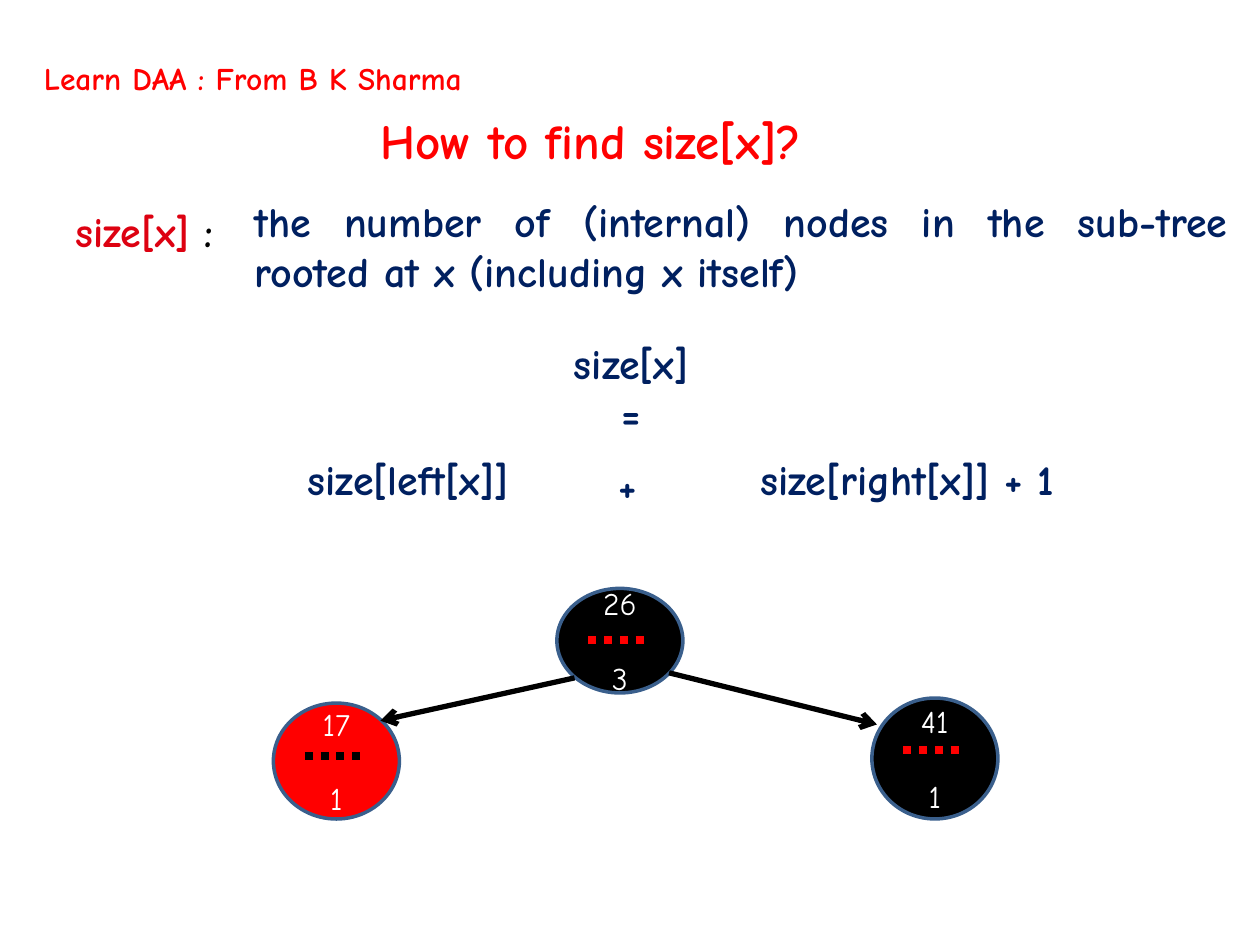
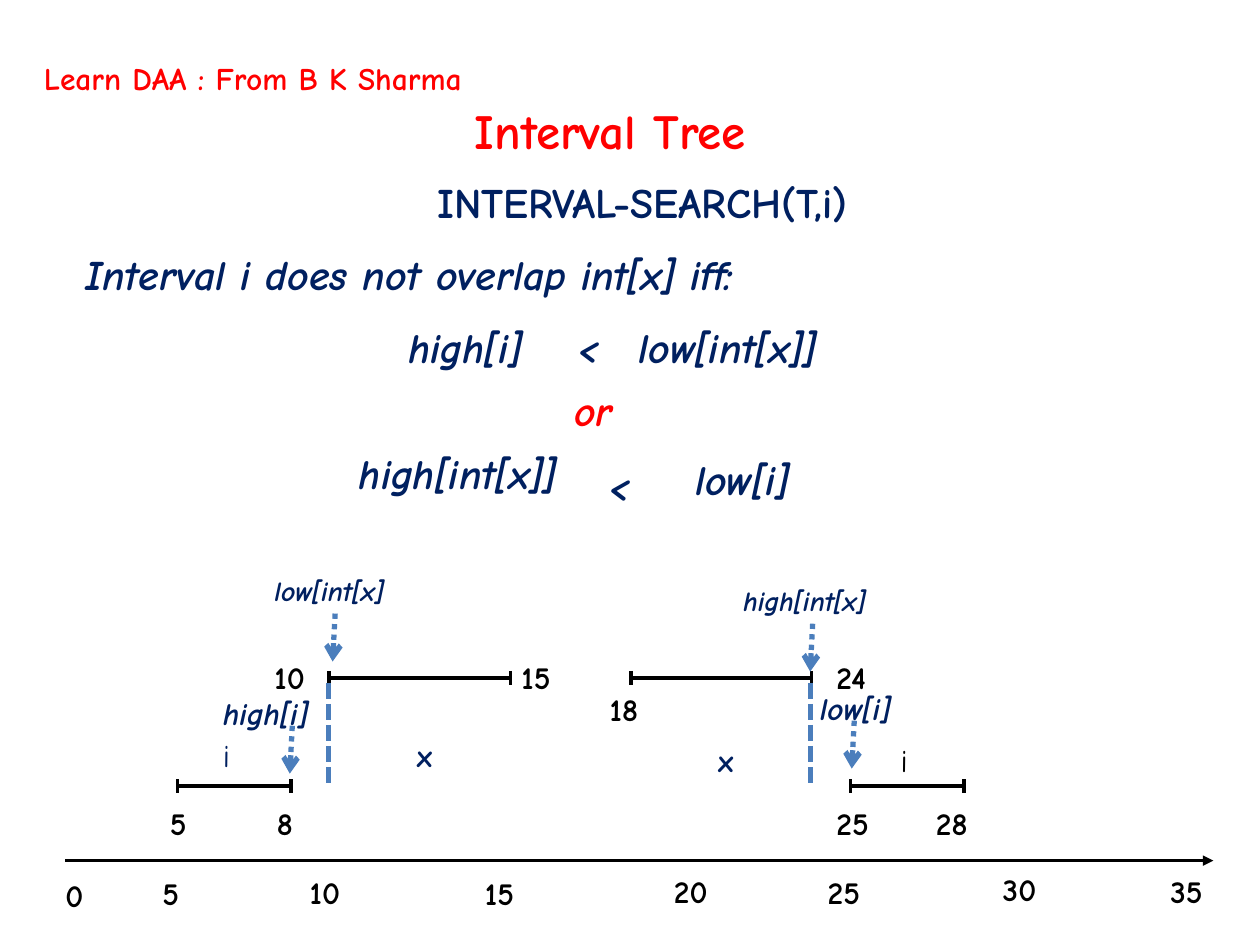
from lxml import etree
from pptx import Presentation
from pptx.dml.color import RGBColor
from pptx.enum.dml import MSO_LINE
from pptx.enum.shapes import MSO_CONNECTOR, MSO_SHAPE
from pptx.enum.text import MSO_ANCHOR, MSO_AUTO_SIZE, PP_ALIGN
from pptx.oxml.ns import qn
from pptx.util import Inches, Pt

FONT = "Comic Neue"
RED, CRIMSON, NAVY = "FF0000", "DD0111", "002060"
BLACK, WHITE, STEEL, OUTLINE = "000000", "FFFFFF", "4B7EBC", "3A5F8C"
COLUMNS, ROWS = 10, 7.5
LINE_HEIGHT = {28: 0.57, 24: 0.5, 18: 0.4, 16: 0.37}
TICK = 0.055


def rgb(value):
    """Turn a hex string into a colour."""
    return RGBColor.from_string(value)


class Deck:
    """Holds the style, the current slide and the shapes being drawn on."""

    def __init__(self):
        """Open an empty deck and size its grid."""
        self.prs = Presentation()
        self.prs.slide_width, self.prs.slide_height = Inches(10), Inches(7.5)
        self.shapes = None
        self.slide = None

    def x(self, columns):
        """Convert grid columns to a length."""
        return int(self.prs.slide_width * columns / COLUMNS)

    def y(self, rows):
        """Convert grid rows to a length."""
        return int(self.prs.slide_height * rows / ROWS)

    def new_slide(self, title, left, top, width):
        """Start a slide with the shared header and its own title."""
        self.slide = self.prs.slides.add_slide(self.prs.slide_layouts[6])
        self.use_slide()
        self.text("Learn DAA : From B K Sharma", 0.25, 0.42, 4.02, 18, RED)
        self.text(title, left, top, width, 28, RED)

    def use_slide(self):
        """Draw directly on the slide."""
        self.shapes = self.slide.shapes

    def use_group(self):
        """Draw into a new group."""
        self.shapes = self.slide.shapes.add_group_shape().shapes

    def run(self, paragraph, words, size, color, bold=True, italic=False):
        """Add one styled run."""
        run = paragraph.add_run()
        run.text = words
        font = run.font
        font.name, font.size, font.bold, font.italic = FONT, Pt(size), bold, italic
        font.color.rgb = rgb(color)

    def text(self, words, left, top, width, size=24, color=NAVY, bold=True,
             italic=False, align=PP_ALIGN.LEFT, wrap=False, lines=1):
        """Add a text box; words is a string with one paragraph per line."""
        height = LINE_HEIGHT[size] + (lines - 1) * 0.41
        box = self.shapes.add_textbox(self.x(left), self.y(top), self.x(width), self.y(height))
        frame = box.text_frame
        frame.word_wrap, frame.auto_size = wrap, MSO_AUTO_SIZE.SHAPE_TO_FIT_TEXT
        for index, part in enumerate(words.split("\n")):
            paragraph = frame.add_paragraph() if index else frame.paragraphs[0]
            paragraph.alignment = align
            self.run(paragraph, part, size, color, bold, italic)
        return frame

    def number(self, value, left, top):
        """Add a number label, wider for two digits."""
        self.text(str(value), left, top, 0.36 if value < 10 else 0.51, 18, BLACK)

    def line(self, start, end, color=BLACK, weight=2, dash=None, arrow=None):
        """Draw a straight line, with dashes or an arrowhead if asked."""
        line = self.shapes.add_connector(
            MSO_CONNECTOR.STRAIGHT, self.x(start[0]), self.y(start[1]),
            self.x(end[0]), self.y(end[1]))
        line.line.color.rgb, line.line.width = rgb(color), Pt(weight)
        if dash:
            line.line.dash_style = dash
        if arrow:
            etree.SubElement(line.line._get_or_add_ln(), qn("a:tailEnd"), type=arrow)
        etree.SubElement(line._element.spPr, qn("a:effectLst"))

    def node(self, key, size, left, top, height, fill, dots, dots_y):
        """Draw a tree node: key above, subtree size below, dots between."""
        oval = self.shapes.add_shape(
            MSO_SHAPE.OVAL, self.x(left), self.y(top), self.x(1), self.y(height))
        oval.shadow.inherit = False
        oval.fill.solid()
        oval.fill.fore_color.rgb = rgb(fill)
        oval.line.color.rgb, oval.line.width = rgb(OUTLINE), Pt(2)
        frame = oval.text_frame
        frame.vertical_anchor = MSO_ANCHOR.MIDDLE
        upper, lower = frame.paragraphs[0], frame.add_paragraph()
        lower.space_before = Pt(21)
        for paragraph, value in ((upper, key), (lower, size)):
            paragraph.alignment = PP_ALIGN.CENTER
            self.run(paragraph, str(value), 18, WHITE, bold=False)
        self.line((left + 0.25, dots_y), (left + 0.75, dots_y), dots, 4.5,
                  MSO_LINE.ROUND_DOT)

    def interval(self, left, right, row):
        """Draw a horizontal interval with a tick at each end."""
        self.line((left, row), (right, row))
        for end in (left, right):
            self.line((end, row - TICK), (end, row + TICK))

    def pointer(self, words, left, top, width, size, tip_x, tip_y):
        """Name an end point and point down at it with a dotted arrow."""
        self.text(words, left, top, width, size, italic=True)
        self.line((tip_x + 0.02, tip_y - 0.38), (tip_x, tip_y), STEEL, 3,
                  MSO_LINE.ROUND_DOT, "arrow")


def size_slide(deck):
    """Build the slide on subtree sizes."""
    deck.new_slide("How to find size[x]?", 2.92, 0.83, 4.11)
    term = deck.text("size[x]", 0.5, 1.58, 1.57, color=CRIMSON, align=PP_ALIGN.JUSTIFY)
    deck.run(term.paragraphs[0], " :", 24, BLACK)
    deck.text("the number of (internal) nodes in the sub-tree rooted at x "
              "(including x itself)", 1.92, 1.5, 7.92,
              align=PP_ALIGN.JUSTIFY, wrap=True, lines=2)
    center = PP_ALIGN.CENTER
    deck.text("size[x] \n= ", 4.36, 2.63, 1.42, align=center, lines=2)
    deck.text("size[left[x]]", 2.17, 3.55, 2.14, align=center)
    deck.text("+", 4.81, 3.6, 0.41)
    deck.text("size[right[x]] + 1", 5.69, 3.55, 3.02, align=center)

    deck.node(26, 3, 4.42, 4.67, 0.83, BLACK, RED, 5.08)
    deck.node(17, 1, 2.17, 5.58, 0.92, RED, BLACK, 6)
    deck.node(41, 1, 6.92, 5.54, 0.96, BLACK, RED, 5.95)
    for start, end in (((4.56, 5.38), (3.02, 5.72)), ((5.31, 5.34), (6.96, 5.75))):
        deck.line(start, end, weight=3, arrow="arrow")


def interval_slide(deck):
    """Build the slide on interval search."""
    deck.new_slide("Interval Tree", 3.67, 0.75, 2.8)
    deck.text("INTERVAL-SEARCH(T,i)", 3.37, 1.35, 4.28)
    conditions = (
        ("Interval i does not overlap int[x] iff:", 0.58, 1.92, 6.33, NAVY),
        ("high[i]", 3.14, 2.5, 1.21, NAVY),
        ("<", 4.5, 2.5, 0.41, NAVY),
        ("low[int[x]] ", 4.97, 2.5, 1.98, NAVY),
        ("or", 4.46, 3, 0.54, RED),
        ("high[int[x]]", 2.75, 3.5, 2, NAVY),
        ("<", 4.75, 3.6, 0.41, NAVY),
        ("low[i]", 5.42, 3.55, 1.05, NAVY),
    )
    for words, left, top, width, color in conditions:
        deck.text(words, left, top, width, color=color, italic=True)

    # Each case: span of i, span of x, place of both names, colour of i
    cases = (
        ((1.41, 2.31), (2.61, 4.05), 1.67, 3.21, 5.79, NAVY),
        ((6.75, 7.65), (5.01, 6.44), 7.05, 5.6, 5.83, BLACK),
    )
    for i_span, x_span, i_left, x_left, top, i_color in cases:
        deck.use_group()
        deck.interval(*i_span, 6.24)
        deck.interval(*x_span, 5.38)
        deck.text("i", i_left, top, 0.27, 18, i_color, bold=False)
        deck.text("x", x_left, top, 0.35, 18)
    deck.use_slide()

    deck.line((0.52, 6.83), (9.63, 6.83), arrow="triangle")
    for column in (2.61, 6.43):
        deck.line((column, 5.42), (column, 6.25), STEEL, 3, MSO_LINE.SQUARE_DOT)
    deck.pointer("low[int[x]", 2.08, 4.5, 1.21, 16, 2.64, 5.25)
    deck.pointer("high[i]", 1.67, 5.46, 0.96, 18, 2.3, 6.14)
    deck.pointer("high[int[x]", 5.8, 4.58, 1.32, 16, 6.43, 5.33)
    deck.pointer("low[i]", 6.41, 5.42, 0.84, 18, 6.76, 6.1)

    axis = ((0.42, 6.9), (1.19, 6.89), (2.36, 6.88), (3.75, 6.89),
            (5.25, 6.87), (6.47, 6.88), (7.86, 6.86), (9.19, 6.87))
    for step, place in enumerate(axis):
        deck.number(5 * step, *place)
    ends = ((5, 1.25, 6.33), (8, 2.1, 6.33), (10, 2.08, 5.17), (15, 4.04, 5.17),
            (18, 4.74, 5.43), (24, 6.54, 5.17), (25, 6.54, 6.33), (28, 7.33, 6.33))
    for value, left, top in ends:
        deck.number(value, left, top)


deck = Deck()
size_slide(deck)
interval_slide(deck)
deck.prs.save("out.pptx")
